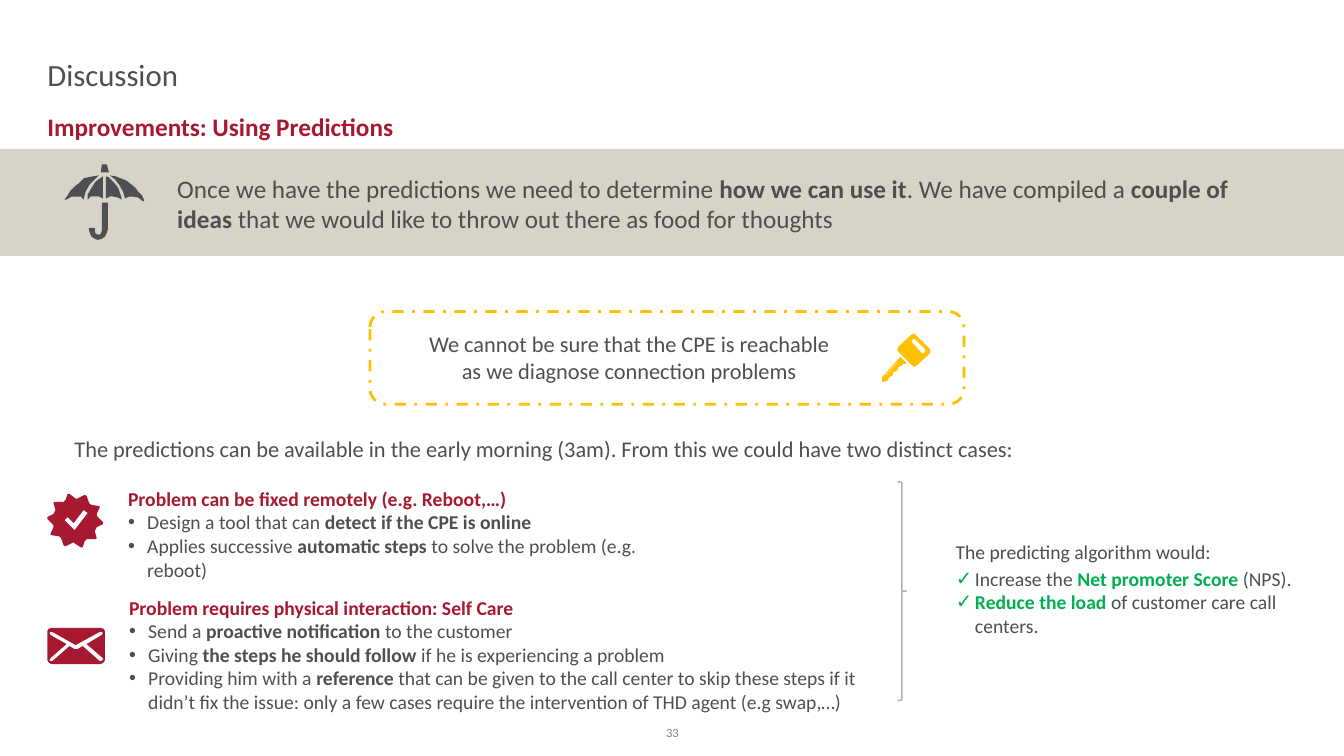
import math
from dataclasses import dataclass
from typing import NamedTuple

import lxml.etree
import pptx
import pptx.dml.color
import pptx.enum.dml
import pptx.enum.shapes
import pptx.enum.text
import pptx.oxml.ns
import pptx.util

RGB = pptx.dml.color.RGBColor
ALIGN = pptx.enum.text.PP_ALIGN
ANCHOR = pptx.enum.text.MSO_ANCHOR
SHAPE = pptx.enum.shapes.MSO_SHAPE

GREY = RGB(0x4D, 0x4F, 0x53)
RED = RGB(0xA7, 0x19, 0x30)
SAND = RGB(0xD7, 0xD3, 0xC7)
AMBER = RGB(0xFF, 0xC0, 0x00)
GREEN = RGB(0x00, 0xB0, 0x50)
BRACE_GREY = RGB(0xB7, 0xB1, 0xA9)
NUMBER_GREY = RGB(0x8D, 0x81, 0x7B)

SCALE = 9144  # EMU per px, 100 px to the inch
FONT = "Calibri"
HANGING = 19
TEXT_INSETS = (10, 5, 10, 5)

Contour = list[tuple[float, float]]


class Box(NamedTuple):
    left: int
    top: int
    width: int
    height: int


@dataclass
class Line:
    """One paragraph; **marked** words are bold in the emphasis colour."""
    text: str
    emphasis: RGB = GREY
    bullet: str = ""
    bullet_color: RGB = GREY


@dataclass
class Icon:
    color: RGB
    outlines: list[list[Contour]]


def px(length: float) -> int:
    return pptx.util.Emu(round(length * SCALE))


def place(shape, box: Box) -> None:
    shape.left, shape.top, shape.width, shape.height = map(px, box)


def set_bullet(paragraph, line: Line) -> None:
    properties = paragraph._p.get_or_add_pPr()
    indent = HANGING if line.bullet else 0
    properties.set("marL", str(px(indent)))
    properties.set("indent", str(px(-indent)))

    def add(parent, tag: str, **attributes: str):
        return lxml.etree.SubElement(parent, pptx.oxml.ns.qn(tag), attributes)

    if line.bullet:
        add(add(properties, "a:buClr"), "a:srgbClr", val=str(line.bullet_color))
        add(properties, "a:buFont", typeface="Arial")
        add(properties, "a:buChar", char=line.bullet)
    else:
        add(properties, "a:buNone")


def write(shape, box: Box, *lines: Line, size: int, color: RGB = GREY,
          align=ALIGN.LEFT, anchor=ANCHOR.TOP, insets=TEXT_INSETS) -> None:
    place(shape, box)
    frame = shape.text_frame
    frame.word_wrap = True
    frame.auto_size = pptx.enum.text.MSO_AUTO_SIZE.NONE
    frame.vertical_anchor = anchor
    (frame.margin_left, frame.margin_top,
     frame.margin_right, frame.margin_bottom) = map(px, insets)
    for index, line in enumerate(lines):
        paragraph = frame.add_paragraph() if index else frame.paragraphs[0]
        set_bullet(paragraph, line)
        paragraph.alignment = align
        paragraph.space_before = pptx.util.Pt(0)
        for position, words in enumerate(line.text.split("**")):
            if words:
                run = paragraph.add_run()
                run.text = words
                run.font.name = FONT
                run.font.size = pptx.util.Pt(size)
                run.font.bold = position % 2 == 1
                run.font.color.rgb = line.emphasis if position % 2 else color


def add_text(slide, box: Box, text: str, **formats) -> None:
    write(slide.shapes.add_textbox(0, 0, 0, 0), box, Line(text), **formats)


def add_outline(slide, kind, box: Box, color: RGB, width: float):
    shape = slide.shapes.add_shape(kind, *map(px, box))
    shape.shadow.inherit = False
    shape.fill.background()
    shape.line.color.rgb = color
    shape.line.width = pptx.util.Pt(width)
    return shape


def draw_icon(slide, icon: Icon) -> None:
    group = slide.shapes.add_group_shape()
    for contours in icon.outlines:
        builder = group.shapes.build_freeform(*contours[0][0], scale=SCALE)
        for index, contour in enumerate(contours):
            if index:
                builder.move_to(*contour[0])
            builder.add_line_segments(contour[1:], close=True)
        shape = builder.convert_to_shape()
        shape.shadow.inherit = False
        shape.fill.solid()
        shape.fill.fore_color.rgb = icon.color
        shape.line.fill.background()


def badge_rim(center_x: float, center_y: float, tips: int = 10) -> Contour:
    """Blunt tips and rounded valleys around a centre."""
    step = 360 / tips
    profile = [(-2, 27.5), (2, 27.5), (step / 2 - 5, 22.5),
               (step / 2, 22), (step / 2 + 5, 22.5)]
    polar = [(math.radians(5 + tip * step + turn), radius)
             for tip in range(tips) for turn, radius in profile]
    return [(round(center_x + radius * math.cos(angle), 2),
             round(center_y + radius * math.sin(angle), 2)) for angle, radius in polar]


UMBRELLA = Icon(GREY, [
    # Left, right and the two middle panels
    [[(98, 174), (92, 175), (87, 176), (83, 177), (78, 182), (74, 185), (70, 189), (67, 194),
      (64, 198), (66, 198), (71, 195), (75, 195), (80, 195), (83, 198), (85, 190), (89, 183),
      (94, 178)]],
    [[(109, 174), (114, 178), (118, 183), (122, 190), (124, 197), (128, 195), (132, 195),
      (137, 196), (142, 200), (143, 199), (141, 194), (137, 190), (134, 186), (129, 182),
      (125, 179), (120, 177), (115, 175)]],
    [[(121, 198), (120, 194), (117, 186), (112, 180), (108, 176), (105, 175), (105, 197),
      (109, 195), (112, 195), (117, 196)]],
    [[(87, 198), (90, 195), (94, 195), (98, 195), (102, 197), (102, 175), (95, 180),
      (91, 186), (87, 193)]],
    # Cap and handle
    [[(106, 163), (101, 163), (100, 171), (108, 171)]],
    [[(107, 201), (101, 201), (101, 229), (100, 232), (98, 233), (95, 232), (94, 229),
      (94, 226), (89, 226), (88, 227), (89, 231), (91, 235), (94, 237), (97, 238),
      (101, 237), (104, 235), (106, 231), (107, 227)]],
])
KEY = Icon(AMBER, [
    # Blade, then head, each with its slot
    [[(893, 354), (875, 374), (875, 379), (880, 378), (882, 374), (885, 373), (886, 369),
      (890, 368), (891, 364), (894, 363), (896, 361), (898, 361), (899, 360)],
     [(890, 360), (879, 372), (878, 372), (890, 359)]],
    [[(922, 346), (908, 332), (906, 331), (904, 332), (891, 344), (890, 347), (891, 349),
      (905, 363), (907, 364), (910, 362), (922, 351), (923, 348)],
     [(914, 350), (905, 340), (904, 338), (906, 336), (908, 337), (917, 346), (918, 348),
      (916, 351)]],
])
BADGE = Icon(RED, [
    [badge_rim(74.5, 516.5),
     [(74, 526), (64, 516), (67, 513), (73, 519), (83, 506), (87, 509)]],
])
ENVELOPE = Icon(RED, [
    [[(100, 623), (51, 623), (48, 624), (47, 626), (47, 655), (48, 657), (51, 659),
      (100, 659), (103, 657), (104, 655), (104, 626), (103, 624)],
     [(102, 655), (100, 656), (99, 656), (82, 641), (77, 644), (75, 644), (74, 644),
      (69, 641), (52, 656), (50, 656), (49, 655), (50, 653), (66, 639), (50, 630),
      (49, 628), (50, 627), (52, 627), (75, 640), (99, 627), (101, 627), (102, 628),
      (101, 630), (86, 639), (102, 653)]],
])


def main() -> None:
    presentation = pptx.Presentation()
    presentation.slide_width, presentation.slide_height = px(1333), px(750)
    slide = presentation.slides.add_slide(presentation.slide_layouts.get_by_name("Comparison"))
    subtitle, remote_list, benefit_list, self_care_list = (
        slide.placeholders[index] for index in (1, 2, 3, 4))

    # Headings
    write(slide.shapes.title, Box(47, 21, 1239, 71), Line("Discussion"),
          size=22, anchor=ANCHOR.BOTTOM, insets=(0, 0, 0, 0))
    write(subtitle, Box(47, 110, 1239, 37),
          Line("**Improvements: Using Predictions**", RED), size=18, insets=(0, 0, 4, 0))

    # Introduction band
    band = slide.shapes.add_shape(SHAPE.RECTANGLE, *map(px, Box(-25, 148, 1373, 106)))
    band.shadow.inherit = False
    band.fill.solid()
    band.fill.fore_color.rgb = SAND
    band.line.fill.background()
    add_text(slide, Box(166, 167, 1103, 71),
             "Once we have the predictions we need to determine **how we can use it**. "
             "We have compiled a **couple of ideas** that we would like to throw out there "
             "as food for thoughts", size=18)

    # Key message
    frame = add_outline(slide, SHAPE.ROUNDED_RECTANGLE, Box(367, 309, 589, 92), AMBER, 2)
    frame.line.dash_style = pptx.enum.dml.MSO_LINE.DASH_DOT
    add_text(slide, Box(405, 323, 438, 64), "We cannot be sure that the CPE is reachable "
             "as we diagnose connection problems", size=16, align=ALIGN.CENTER)

    # Two cases
    add_text(slide, Box(64, 427, 1099, 37), "The predictions can be available in the early "
             "morning (3am). From this we could have two distinct cases:", size=16)
    write(remote_list, Box(117, 478, 569, 128),
          Line("**Problem can be fixed remotely (e.g. Reboot,…)**", RED),
          Line("Design a tool that can **detect if the CPE is online**", bullet="•"),
          Line("Applies successive **automatic steps **to solve the problem (e.g. reboot)",
               bullet="•"), size=14)
    write(self_care_list, Box(118, 586, 757, 128),
          Line("**Problem requires physical interaction: Self Care**", RED),
          Line("Send a **proactive notification **to the customer", bullet="•"),
          Line("Giving **the steps he should follow **if he is experiencing a problem",
               bullet="•"),
          Line("Providing him with a **reference** that can be given to the call center to "
               "skip these steps if it didn’t fix the issue: only a few cases require the "
               "intervention of THD agent (e.g swap,…)", bullet="•"), size=14)

    # Benefits
    add_outline(slide, SHAPE.RIGHT_BRACE, Box(890, 478, 9, 217), BRACE_GREY, 1)
    add_text(slide, Box(938, 531, 300, 34), "The predicting algorithm would:", size=14)
    write(benefit_list, Box(938, 557, 363, 81),
          Line("Increase the **Net promoter Score **(NPS).", GREEN, "✓", GREEN),
          Line("**Reduce the load **of customer care call centers.", GREEN, "✓", GREEN),
          size=14)

    # Icons and slide number
    for icon in (UMBRELLA, KEY, BADGE, ENVELOPE):
        draw_icon(slide, icon)
    add_text(slide, Box(637, 711, 60, 23), "33", size=9, color=NUMBER_GREY,
             align=ALIGN.CENTER, anchor=ANCHOR.BOTTOM, insets=(0, 0, 0, 0))

    presentation.save("out.pptx")


if __name__ == "__main__":
    main()
